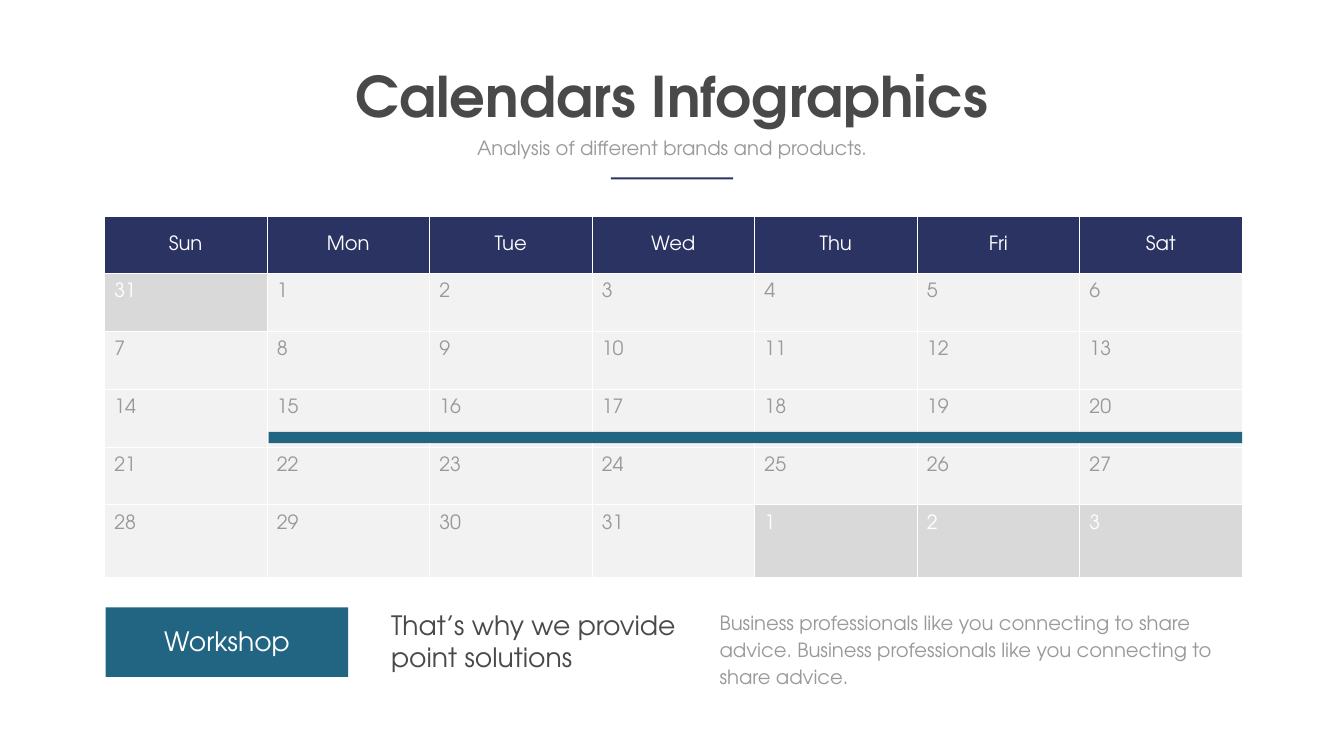
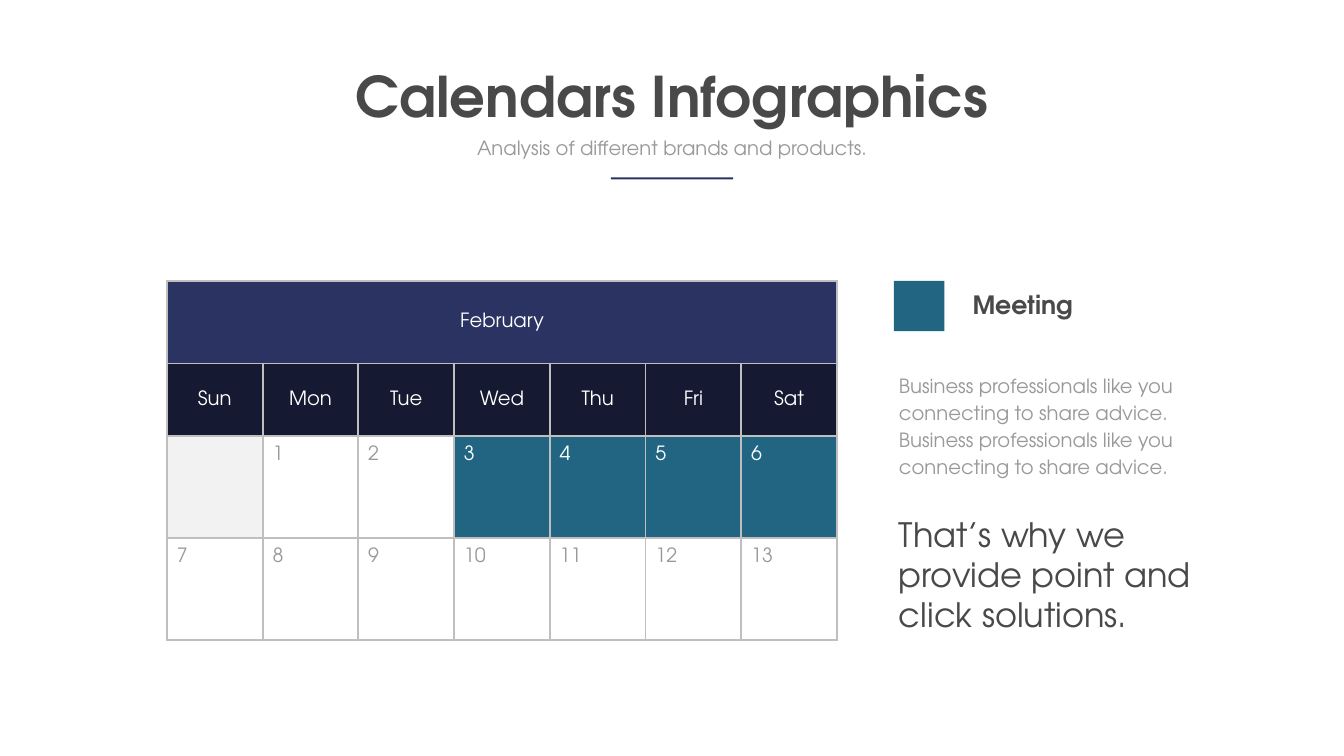
from dataclasses import dataclass

from lxml.etree import SubElement
from pptx import Presentation
from pptx.dml.color import RGBColor
from pptx.enum.shapes import MSO_SHAPE
from pptx.enum.text import MSO_ANCHOR, MSO_AUTO_SIZE, PP_ALIGN
from pptx.oxml.ns import qn
from pptx.util import Cm, Pt


@dataclass(frozen=True)
class Theme:
    font: str = "TeX Gyre Adventor"
    ink: str = "494949"
    muted: str = "999999"
    white: str = "FFFFFF"
    navy: str = "2A3362"
    midnight: str = "151931"
    teal: str = "216582"
    pale: str = "F2F2F2"
    outside: str = "D9D9D9"
    grid: str = "BFBFBF"
    title: int = 80
    quote: int = 48
    lead: int = 38
    legend: int = 36
    body: int = 28
    body_leading: float = 38.6


@dataclass(frozen=True)
class Box:
    """A region in centimetres."""
    left: float
    top: float
    width: float
    height: float

    def inner(self, left, top, width, height):
        return Box(self.left + left, self.top + top, width, height)

    def lengths(self):
        return [Cm(side) for side in (self.left, self.top, self.width, self.height)]


@dataclass(frozen=True)
class Day:
    text: str
    fill: str
    color: str
    heading: bool = False


THEME = Theme()
WEEKDAYS = ["Sun", "Mon", "Tue", "Wed", "Thu", "Fri", "Sat"]
ADVICE = "Business professionals like you connecting to share advice."


# Basic parts
def write(frame, text, size, color, bold=False, align=PP_ALIGN.LEFT, leading=None):
    para = frame.paragraphs[0]
    para.alignment = align
    if leading:
        para.line_spacing = Pt(leading)
    span = para.add_run()
    span.text = text
    span.font.name = THEME.font
    span.font.size = Pt(size)
    span.font.bold = bold
    span.font.color.rgb = RGBColor.from_string(color)


def add_text(page, box, text, size, color, **style):
    frame = page.shapes.add_textbox(*box.lengths()).text_frame
    frame.word_wrap = True
    frame.auto_size = MSO_AUTO_SIZE.SHAPE_TO_FIT_TEXT
    write(frame, text, size, color, **style)


def add_advice(page, box):
    add_text(page, box, f"{ADVICE} {ADVICE}", THEME.body, THEME.muted,
             leading=THEME.body_leading)


def add_block(page, box, color):
    block = page.shapes.add_shape(MSO_SHAPE.RECTANGLE, *box.lengths())
    block.shadow.inherit = False
    block.fill.solid()
    block.fill.fore_color.rgb = RGBColor.from_string(color)
    block.line.fill.background()


# Title, subtitle and rule shared by both slides
def add_header(page, box):
    title = page.shapes.title
    title.left, title.top, title.width, title.height = box.inner(
        0, 0, box.width, 3.68).lengths()
    frame = title.text_frame
    frame.word_wrap = False
    frame.auto_size = MSO_AUTO_SIZE.SHAPE_TO_FIT_TEXT
    frame.vertical_anchor = MSO_ANCHOR.TOP
    write(frame, "Calendars Infographics", THEME.title, THEME.ink,
          bold=True, align=PP_ALIGN.CENTER)

    def centred(top, width, height):
        return box.inner((box.width - width) / 2, top, width, height)

    add_text(page, centred(3.76, 24.28, 1.45),
             "Analysis of different brands and products.",
             THEME.body, THEME.muted, align=PP_ALIGN.CENTER)
    add_block(page, centred(5.97, 6.17, 0.1), THEME.navy)


# Calendar table
def add_borders(cell, color, width):
    properties = cell._tc.get_or_add_tcPr()
    for side in ("lnL", "lnR", "lnT", "lnB"):
        line = SubElement(properties, qn(f"a:{side}"), w=str(Pt(width)))
        fill = SubElement(line, qn("a:solidFill"))
        SubElement(fill, qn("a:srgbClr"), val=color)


def fill_cell(cell, day):
    cell.fill.solid()
    cell.fill.fore_color.rgb = RGBColor.from_string(day.fill)
    if day.heading:
        margins, anchor, align = (0.36, 0.18, 0.36, 0.18), MSO_ANCHOR.MIDDLE, PP_ALIGN.CENTER
    else:
        margins, anchor, align = (0.5, 0.5, 0.25, 0.13), MSO_ANCHOR.TOP, PP_ALIGN.LEFT
    cell.margin_left, cell.margin_top, cell.margin_right, cell.margin_bottom = map(Cm, margins)
    cell.vertical_anchor = anchor
    if day.text:
        write(cell.text_frame, day.text, THEME.body, day.color, align=align)


def add_calendar(page, box, weeks, heights, border, border_width):
    columns = len(WEEKDAYS)
    table = page.shapes.add_table(len(weeks), columns, *box.lengths()).table
    for column in table.columns:
        column.width = Cm(box.width / columns)
    for row, height, week in zip(table.rows, heights, weeks):
        row.height = Cm(height)
        for cell, day in zip(row.cells, week):
            add_borders(cell, border, border_width)
            fill_cell(cell, day)
    return table


def heading_row(names, fill):
    return [Day(name, fill, THEME.white, heading=True) for name in names]


def day_row(first, last, fill, color):
    return [Day(str(number), fill, color) for number in range(first, last + 1)]


# Full month with a workshop bar
def add_month(page, box):
    heights = [2.84] + [2.92] * 4 + [3.63]
    days = (day_row(31, 31, THEME.outside, THEME.white)
            + day_row(1, 31, THEME.pale, THEME.muted)
            + day_row(1, 3, THEME.outside, THEME.white))
    weeks = [days[start:start + 7] for start in range(0, len(days), 7)]
    add_calendar(page, box, [heading_row(WEEKDAYS, THEME.navy)] + weeks,
                 heights, THEME.white, 1)
    bar_left = box.width / 7 + 0.09
    bar_top = sum(heights[:4]) - 0.75
    add_block(page, box.inner(bar_left, bar_top, box.width - bar_left, 0.56), THEME.teal)


def add_workshop_note(page, box):
    add_text(page, box.inner(14.13, 0, 16.46, 3.5),
             "That’s why we provide point solutions", THEME.lead, THEME.ink)
    add_advice(page, box.inner(30.69, -0.08, 26.59, 4.29))
    add_block(page, box.inner(0, 0.03, 12.22, 3.5), THEME.teal)
    add_text(page, box.inner(2.42, 0.81, 7.39, 1.88), "Workshop",
             THEME.lead, THEME.white, align=PP_ALIGN.CENTER)


# Two February weeks with meeting days
def add_february(page, box):
    weeks = [
        heading_row(["February"] + [""] * 6, THEME.navy),
        heading_row(WEEKDAYS, THEME.midnight),
        [Day("", THEME.pale, THEME.muted)]
        + day_row(1, 2, THEME.white, THEME.muted)
        + day_row(3, 6, THEME.teal, THEME.white),
        day_row(7, 13, THEME.white, THEME.muted),
    ]
    table = add_calendar(page, box, weeks, [4.17, 3.66, 5.13, 5.13], THEME.grid, 3)
    table.cell(0, 0).merge(table.cell(0, 6))


def add_meeting_note(page, box):
    add_text(page, box.inner(0, 11.61, box.width, 6.4),
             "That’s why we provide point and click solutions.",
             THEME.quote, THEME.ink)
    add_advice(page, box.inner(0, 4.39, 16.1, 5.69))
    add_block(page, box.inner(0, 0, 2.54, 2.54), THEME.teal)
    add_text(page, box.inner(3.71, 0.33, 6.58, 1.8), "Meeting",
             THEME.legend, THEME.ink, bold=True)


# Slides
def add_page(deck):
    page = deck.slides.add_slide(deck.slide_layouts[5])
    add_header(page, Box(17.5, 2.97, 32.74, 6.07))
    return page


def main():
    deck = Presentation()
    deck.slide_width, deck.slide_height = Cm(67.74), Cm(38.1)

    month_page = add_page(deck)
    add_month(month_page, Box(5.26, 10.92, 57.35, 18.15))
    add_workshop_note(month_page, Box(5.33, 30.58, 57.28, 4.21))

    february_page = add_page(deck)
    add_february(february_page, Box(8.41, 14.15, 33.78, 18.09))
    add_meeting_note(february_page, Box(45.06, 14.15, 17.12, 18.01))

    deck.save("out.pptx")


if __name__ == "__main__":
    main()
